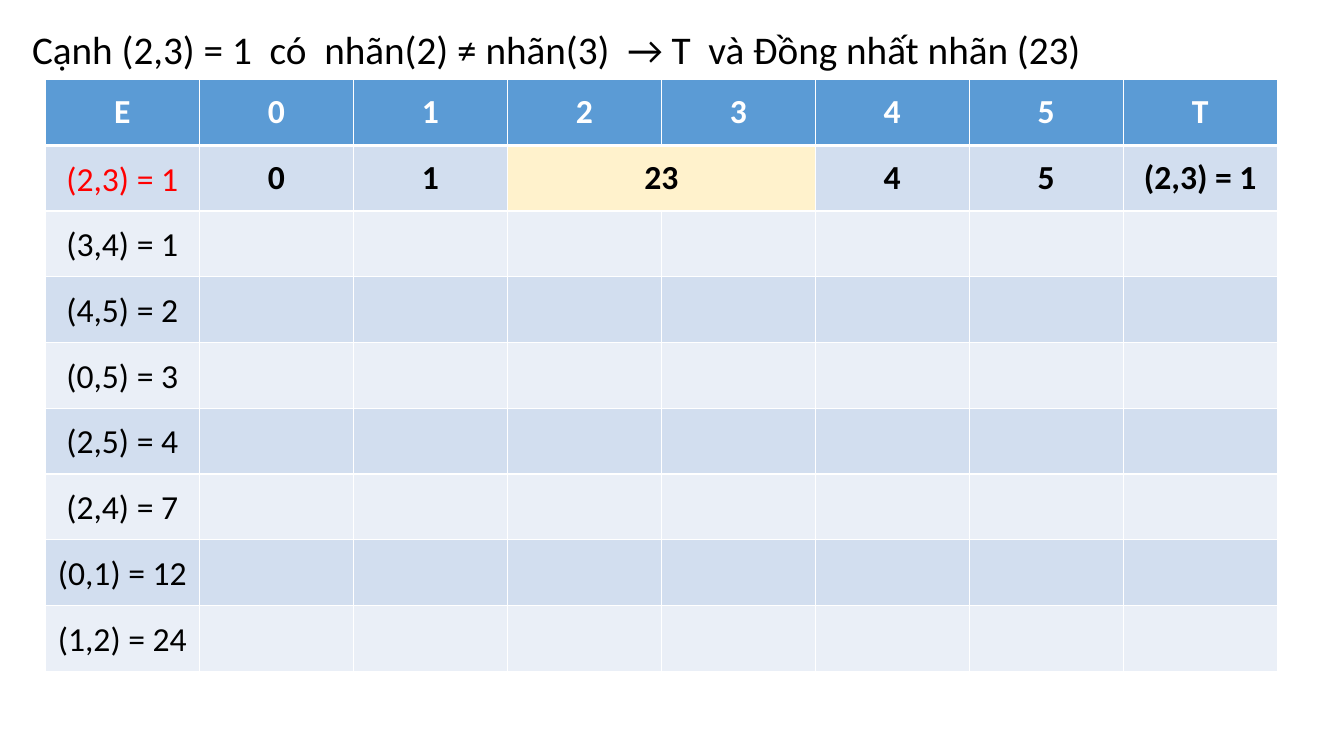
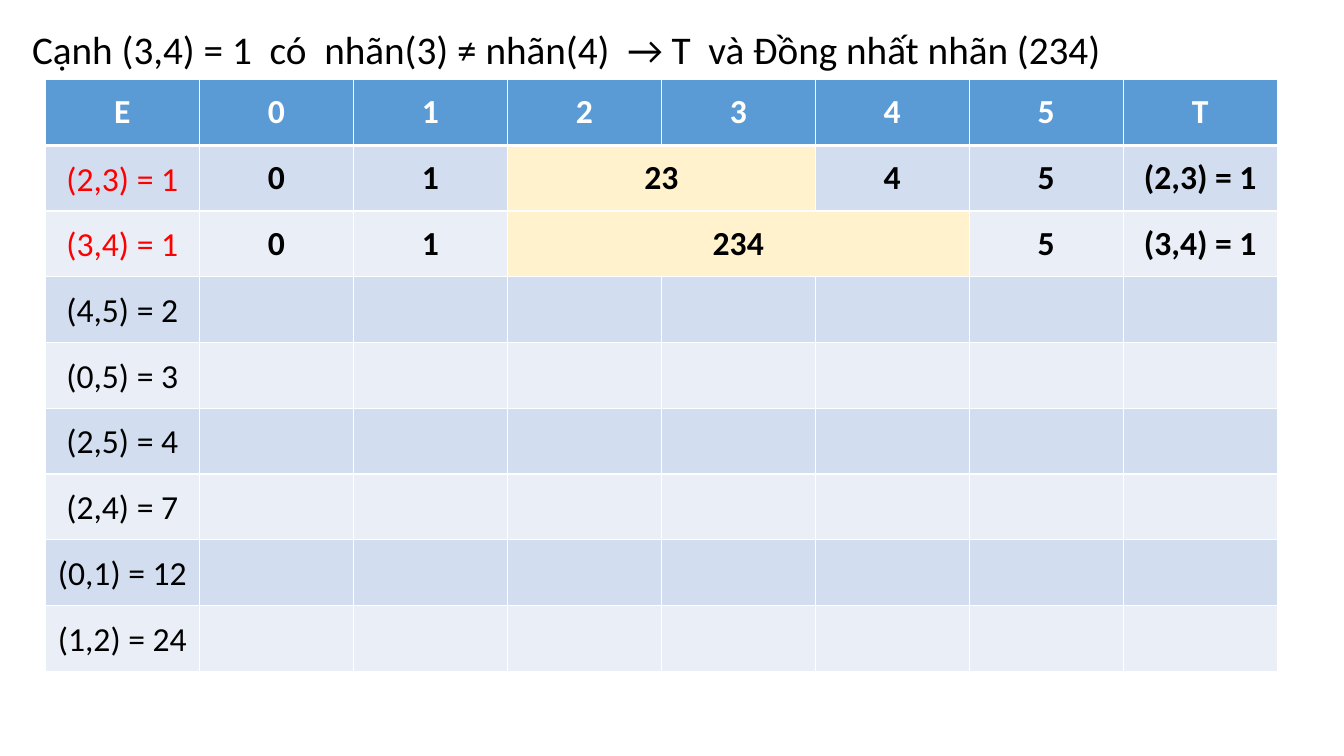
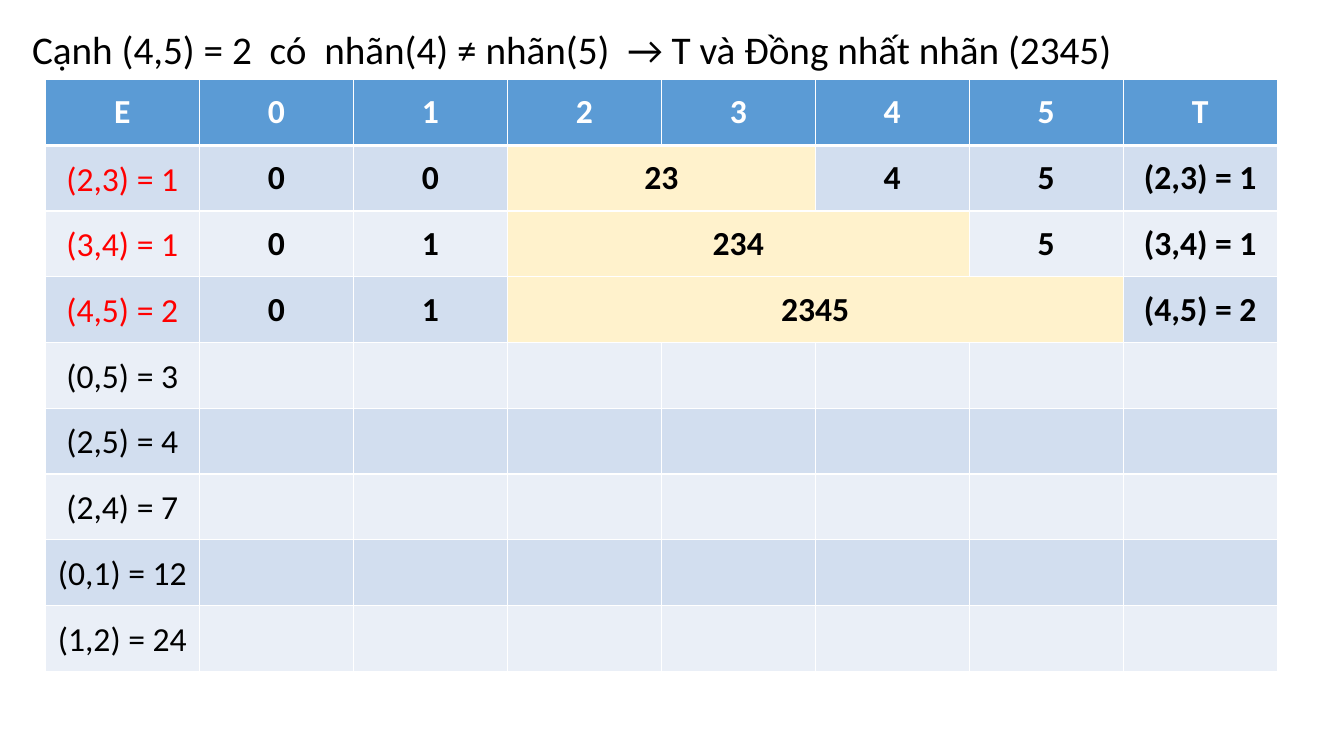
"""Builds three slides that trace the merging of vertex labels edge by edge."""
from dataclasses import dataclass

from lxml.etree import SubElement
from pptx import Presentation
from pptx.dml.color import RGBColor
from pptx.enum.text import MSO_ANCHOR, PP_ALIGN
from pptx.oxml.ns import qn
from pptx.util import Inches, Pt


@dataclass(frozen=True)
class Theme:
    """Colours, font and type sizes shared by the slides."""
    font: str = "Calibri"
    title_size: int = 28
    table_size: int = 24
    white: str = "FFFFFF"
    black: str = "000000"
    visited: str = "FF0000"
    header: str = "5B9BD5"
    merged: str = "FFF2CC"
    bands: tuple = ("D2DEEF", "EAEFF7")
    thin_border: float = 1
    thick_border: float = 3


THEME = Theme()
TITLE_BOX = (0.22, 0.25, 12.9, 7.09)
TABLE_BOX = (0.45, 0.79, 12.22, 5.87)
HEADINGS = ("E", "0", "1", "2", "3", "4", "5", "T")
EDGES = ("(2,3) = 1", "(3,4) = 1", "(4,5) = 2", "(0,5) = 3",
         "(2,5) = 4", "(2,4) = 7", "(0,1) = 12", "(1,2) = 24")
MERGE_23 = ("0", "1", "23", "4", "5")
MERGE_234 = ("0", "1", "234", "5")
MERGE_2345 = ("0", "1", "2345")
STEPS = (
    ("Cạnh (2,3) = 1  có  nhãn(2) ≠ nhãn(3)  → T  và Đồng nhất nhãn (23)",
     (MERGE_23,)),
    ("Cạnh (3,4) = 1  có  nhãn(3) ≠ nhãn(4)  → T  và Đồng nhất nhãn (234)",
     (MERGE_23, MERGE_234)),
    ("Cạnh (4,5) = 2  có  nhãn(4) ≠ nhãn(5)  → T và Đồng nhất nhãn (2345)",
     (("0", "0", "23", "4", "5"), MERGE_234, MERGE_2345)),
)


def set_attributes(target, values):
    """Set every named value on the target."""
    for name, value in values.items():
        setattr(target, name, value)


def write_text(paragraph, text, size, color, bold=False, **paragraph_format):
    """Write one formatted run and format its paragraph."""
    run = paragraph.add_run()
    run.text = text
    set_attributes(run.font, {"name": THEME.font, "size": Pt(size), "bold": bold})
    run.font.color.rgb = RGBColor.from_string(color)
    set_attributes(paragraph, paragraph_format)


def style_cell(cell, fill, bottom_width=THEME.thin_border):
    """Give a cell its white borders, solid fill and vertical anchor."""
    properties = cell._tc.get_or_add_tcPr()
    widths = {"a:lnL": THEME.thin_border, "a:lnR": THEME.thin_border,
              "a:lnT": THEME.thin_border, "a:lnB": bottom_width}
    for tag, width in widths.items():
        line = SubElement(properties, qn(tag), w=str(Pt(width)))
        SubElement(SubElement(line, qn("a:solidFill")), qn("a:srgbClr"), val=THEME.white)
    cell.fill.solid()
    cell.fill.fore_color.rgb = RGBColor.from_string(fill)
    cell.vertical_anchor = MSO_ANCHOR.MIDDLE


def write_cell(cell, text, color=THEME.black, bold=True, **paragraph_format):
    """Write centred table text in a cell."""
    write_text(cell.text_frame.paragraphs[0], text, THEME.table_size, color, bold,
               alignment=PP_ALIGN.CENTER, **paragraph_format)


def add_title(slide, box, text):
    """Place the statement of the step in the box."""
    shape = slide.shapes.add_textbox(*map(Inches, box))
    shape.text_frame.word_wrap = True
    write_text(shape.text_frame.paragraphs[0], text, THEME.title_size, THEME.black,
               line_spacing=0.9, space_before=Pt(10))


def fill_edge_cell(cell, edge, visited):
    """Write the edge, in red once it has been visited."""
    set_attributes(cell, {"margin_left": Inches(0.07), "margin_right": Inches(0.07),
                          "margin_top": 0, "margin_bottom": 0})
    write_cell(cell, edge, THEME.visited if visited else THEME.black, False,
               line_spacing=1.07)


def fill_label_cells(table, row, labels):
    """Write vertex labels, each spanning one column per vertex it holds."""
    column = 1
    for label in labels:
        cell, span = table.cell(row, column), len(label)
        if span > 1:
            cell.merge(table.cell(row, column + span - 1))
            cell.fill.fore_color.rgb = RGBColor.from_string(THEME.merged)
        write_cell(cell, label)
        column += span


def add_trace_table(slide, box, label_rows):
    """Place the table of edges, labels and tree edges in the box."""
    left, top, width, height = map(Inches, box)
    rows, columns = len(EDGES) + 1, len(HEADINGS)
    table = slide.shapes.add_table(rows, columns, left, top, width, height).table
    for column, heading in enumerate(HEADINGS):
        cell = table.cell(0, column)
        style_cell(cell, THEME.header, THEME.thick_border)
        write_cell(cell, heading, THEME.white)
    for row, edge in enumerate(EDGES, start=1):
        for column in range(columns):
            style_cell(table.cell(row, column), THEME.bands[(row - 1) % 2])
        visited = row <= len(label_rows)
        fill_edge_cell(table.cell(row, 0), edge, visited)
        if visited:
            fill_label_cells(table, row, label_rows[row - 1])
            write_cell(table.cell(row, columns - 1), edge)


def add_step_slide(presentation, title, label_rows):
    """Add one slide for a step of the trace."""
    slide = presentation.slides.add_slide(presentation.slide_layouts[6])
    add_title(slide, TITLE_BOX, title)
    add_trace_table(slide, TABLE_BOX, label_rows)


def main():
    """Build and save the presentation."""
    presentation = Presentation()
    set_attributes(presentation, {"slide_width": Inches(13.33),
                                  "slide_height": Inches(7.5)})
    for title, label_rows in STEPS:
        add_step_slide(presentation, title, label_rows)
    presentation.save("out.pptx")


if __name__ == "__main__":
    main()
